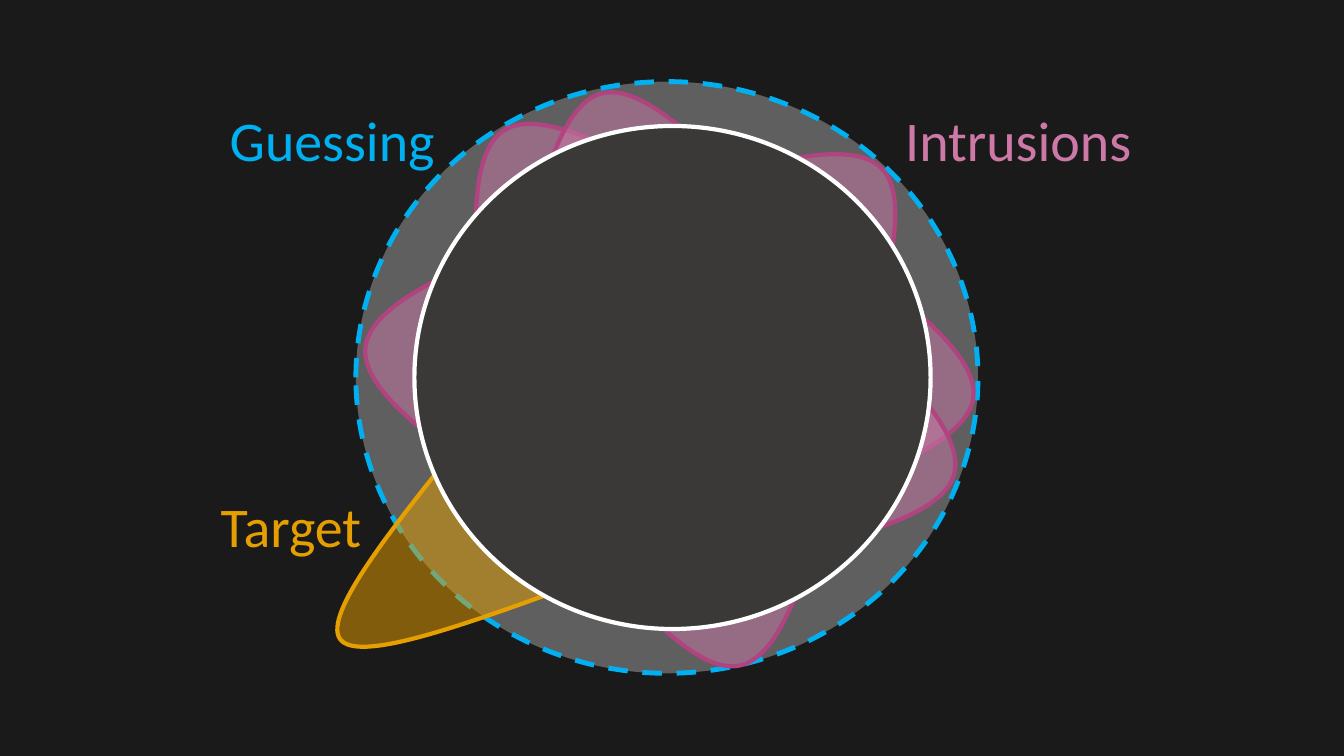
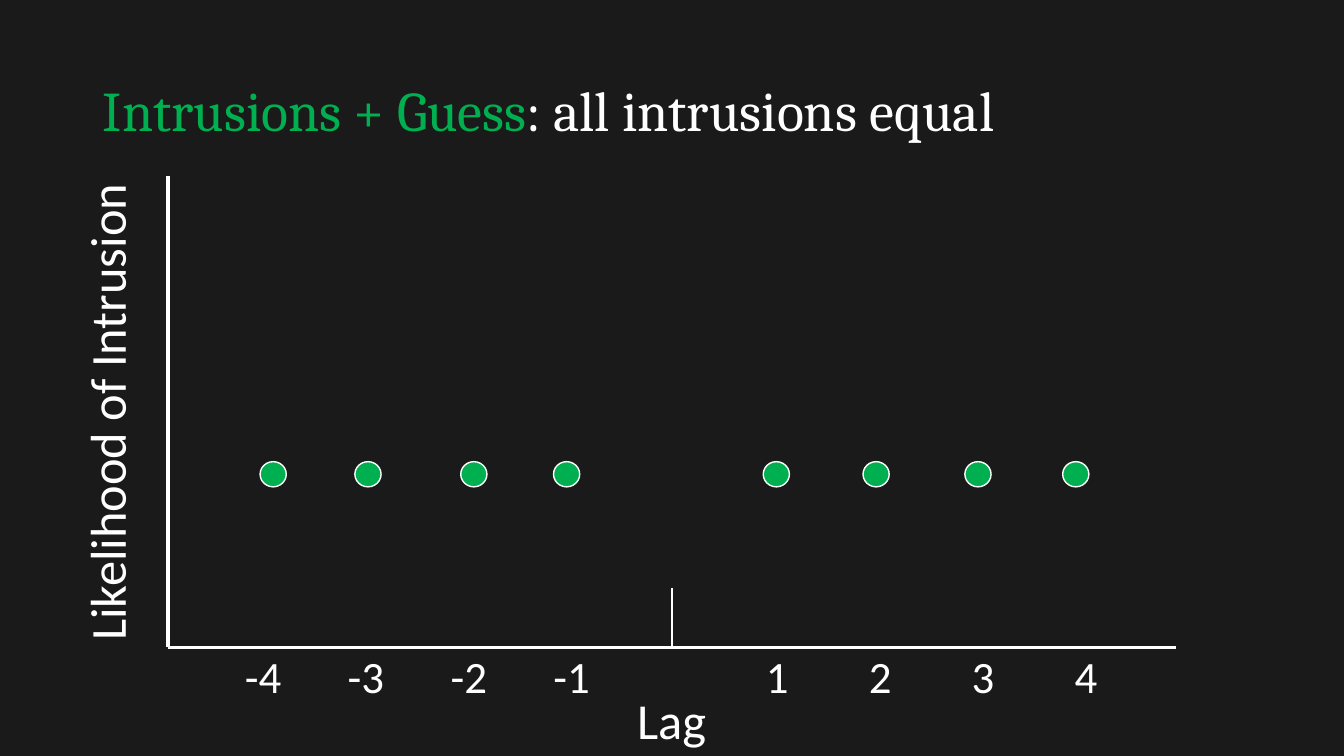
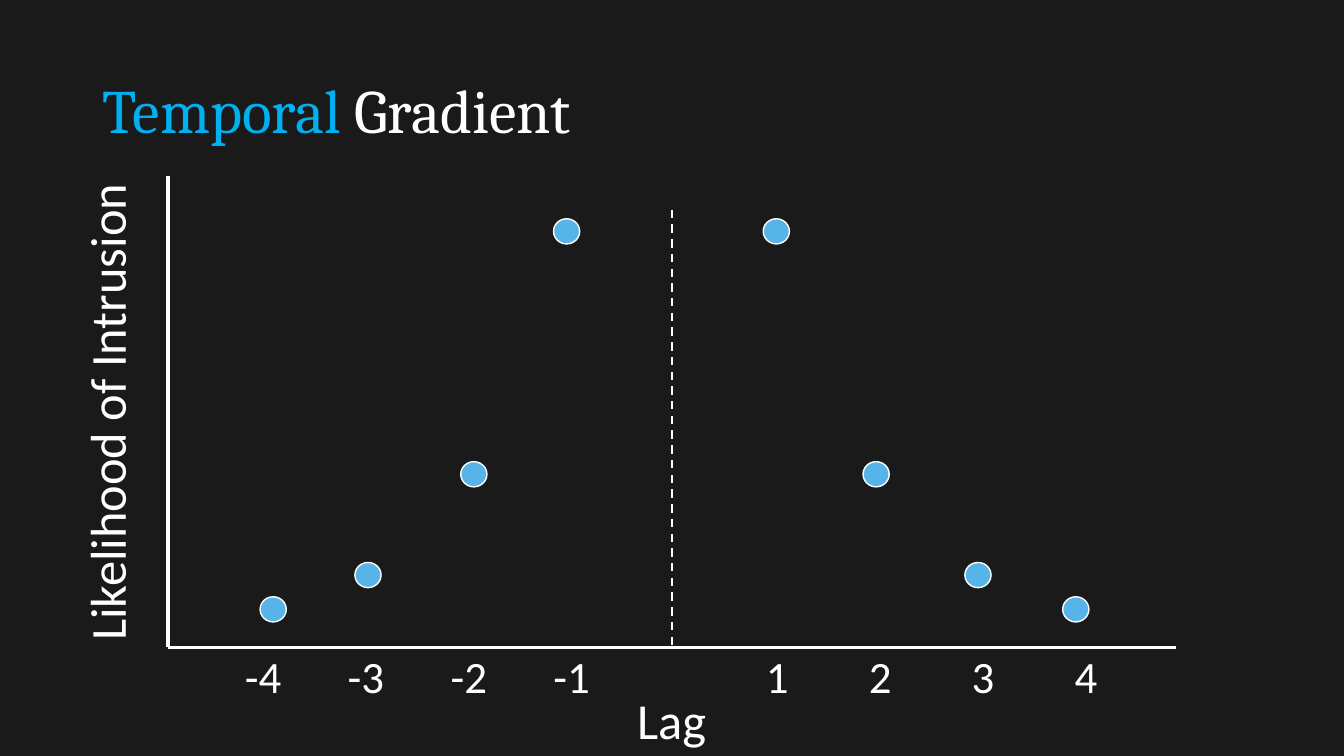
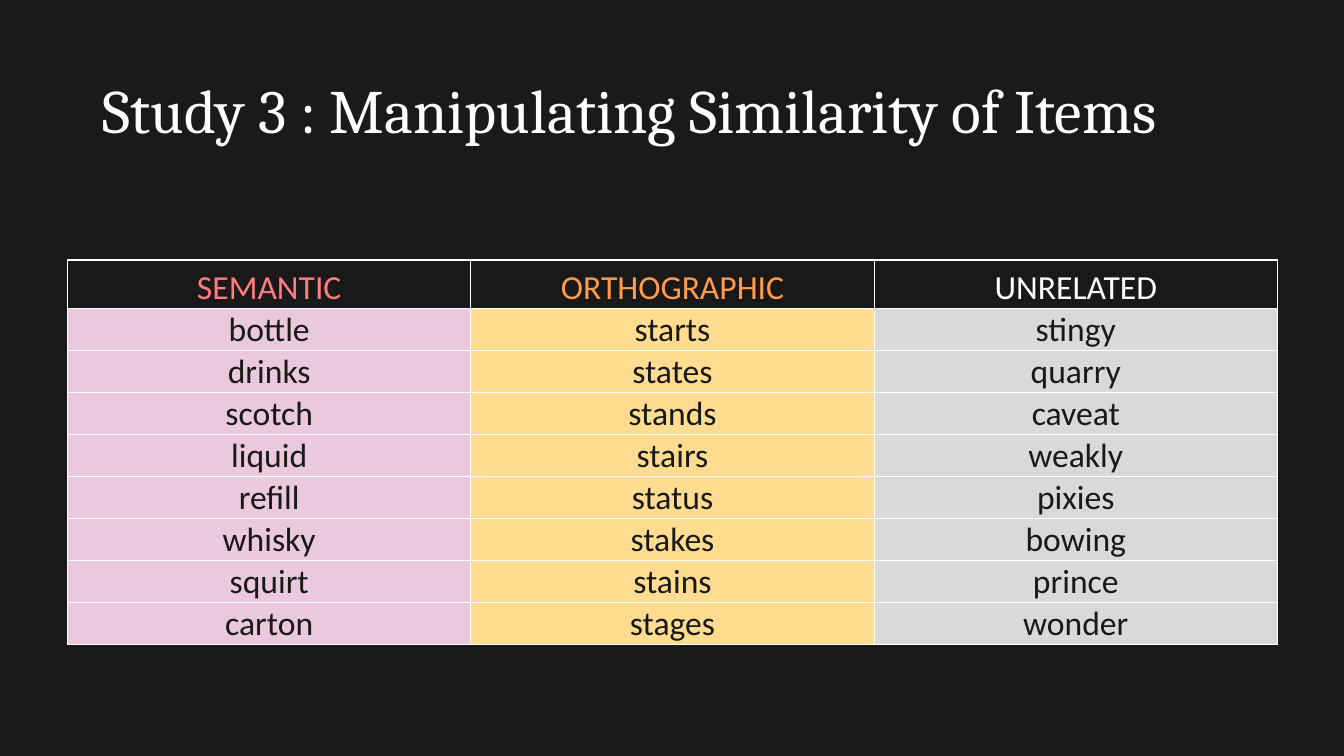
import pptx
import pptx.util
import pptx.dml.color
import pptx.enum.dml
import pptx.enum.shapes
import pptx.enum.text
import pptx.oxml.ns
import lxml.etree

WIDE, HIGH = 13.33, 7.5
COLORS = {
    "back": "1A1A1A", "white": "FFFFFF", "disc": "3B3838", "sky": "00B0F0",
    "pink": "CC79A7", "plum": "B14380", "gold": "E69F00", "green": "00B050",
    "blue": "56B4E9", "ink": "191919", "coral": "FF7C80", "orange": "FF9B4D",
    "rose": "EBC9DC", "sand": "FFDC8F", "gray": "D9D9D9",
}
BODY, HEAD = "Calibri", "Cambria"

# Ring of memory responses: left, top, width, height
GUESS = (3.53, 0.81, 6.17, 5.87)
DISC = (4.11, 1.25, 5.12, 4.99)
HUMP = (2.56, 1.56)
HUMPS = [  # left, top, turn
    (4.14, 1.17, 327), (3.12, 2.75, 276), (7.6, 3.06, 98.2), (7.43, 3.72, 105.3),
    (5.89, 5.06, 167.5), (4.89, 0.9, 344.6), (6.91, 1.44, 45.1),
]
TARGET = (3.34, 4.67, 1.78, 2.11, 234.4)
BELL = [(0, 1), (1 / 6, 1 / 2), (1 / 3, 0), (1 / 2, 0), (2 / 3, 0), (5 / 6, 1 / 2), (1, 1)]
NAMES = [
    ("Intrusions", "pink", (8.88, 1, 2.47, 0.77)),
    ("Guessing", "sky", (2.18, 1, 2.25, 0.77)),
    ("Target", "gold", (2.09, 4.83, 1.61, 0.77)),
]

# Lag plots: dot centre by lag, dot top by distance from zero
DOTS = {-4: 2.71, -3: 3.65, -2: 4.7, -1: 5.62, 1: 7.7, 2: 8.69, 3: 9.7, 4: 10.67}
DOT = (0.26, 0.25)
LEFT, MID, RIGHT = WIDE / 8, WIDE / 2, WIDE * 7 / 8
TOP, BASE = 1.75, 6.42
TICK_MID, TICK_STEP = 6.69, 1.02
PLOTS = [
    {"title": [("Intrusions + Guess", "green"), (": all intrusions equal", "white")],
     "size": 40, "fill": "green", "tops": dict.fromkeys(range(1, 5), 4.58),
     "zero": 5.83, "dash": False},
    {"title": [("Temporal ", "sky"), ("Gradient", "white")],
     "size": 44, "fill": "blue", "tops": {1: 2.17, 2: 4.58, 3: 5.58, 4: 5.92},
     "zero": 2.08, "dash": True},
]

STUDY = "Study 3 : Manipulating Similarity of Items"
LISTS = [  # heading, its colour, cell fill, words
    ("SEMANTIC", "coral", "rose",
     ["bottle", "drinks", "scotch", "liquid", "refill", "whisky", "squirt", "carton"]),
    ("ORTHOGRAPHIC", "orange", "sand",
     ["starts", "states", "stands", "stairs", "status", "stakes", "stains", "stages"]),
    ("UNRELATED", "white", "gray",
     ["stingy", "quarry", "caveat", "weakly", "pixies", "bowing", "prince", "wonder"]),
]


def inch(*nums):
    return [pptx.util.Inches(num) for num in nums]


def color(name):
    return pptx.dml.color.RGBColor.from_string(COLORS[name])


def write(frame, runs, size, font=BODY, align="LEFT", anchor="TOP", wrap=False, space=None):
    """Put (text, colour) runs into a text frame as one paragraph."""
    frame.word_wrap = wrap
    frame.vertical_anchor = getattr(pptx.enum.text.MSO_ANCHOR, anchor)
    para = frame.paragraphs[0]
    para.alignment = getattr(pptx.enum.text.PP_ALIGN, align)
    if space:
        para.line_spacing = space
    for text, name in runs:
        run = para.add_run()
        run.text = text
        run.font.size = pptx.util.Pt(size)
        run.font.name = font
        run.font.color.rgb = color(name)


def label(slide, box, text, name, size, **form):
    shape = slide.shapes.add_textbox(*inch(*box))
    write(shape.text_frame, [(text, name)], size, **form)
    return shape


def stroke(line, name, width, dash=False):
    line.color.rgb = color(name)
    line.width = pptx.util.Pt(width)
    if dash:
        line.dash_style = pptx.enum.dml.MSO_LINE.DASH


def paint(shape, fill, edge, width, alpha=100, dash=False):
    """Fill and outline a shape; alpha is the fill's opacity in percent."""
    shape.shadow.inherit = False
    shape.fill.solid()
    shape.fill.fore_color.rgb = color(fill)
    stroke(shape.line, edge, width, dash)
    if alpha < 100:
        tint = shape.fill._xPr.find(".//" + pptx.oxml.ns.qn("a:srgbClr"))
        lxml.etree.SubElement(tint, pptx.oxml.ns.qn("a:alpha"), val=str(alpha * 1000))


def oval(slide, box, *look, **form):
    shape = slide.shapes.add_shape(pptx.enum.shapes.MSO_SHAPE.OVAL, *inch(*box))
    paint(shape, *look, **form)


def rule(slide, start, end, width, dash=False):
    line = slide.shapes.add_connector(
        pptx.enum.shapes.MSO_CONNECTOR.STRAIGHT, *inch(*start, *end))
    stroke(line.line, "white", width, dash)
    lxml.etree.SubElement(line._element.spPr, pptx.oxml.ns.qn("a:effectLst"))


def bell(slide, left, top, wide, high, turn, fill, edge):
    """Draw a bell curve whose segments are two cubic curves."""
    spots = [inch(left + x * wide, top + y * high) for x, y in BELL]
    build = slide.shapes.build_freeform(*spots[0])
    build.add_line_segments(spots[1:], close=False)
    shape = build.convert_to_shape()
    steps = shape._element.findall(".//" + pptx.oxml.ns.qn("a:lnTo"))
    for first in range(0, len(steps), 3):
        curve = lxml.etree.Element(pptx.oxml.ns.qn("a:cubicBezTo"))
        steps[first].addprevious(curve)
        for step in steps[first:first + 3]:
            curve.append(step[0])
            step.getparent().remove(step)
    shape.rotation = turn
    paint(shape, fill, edge, 3, alpha=50)


def titled(deck, runs, size):
    slide = deck.slides.add_slide(deck.slide_layouts[5])
    title = slide.shapes.title
    title.left, title.top, title.width, title.height = inch(0.92, 0.4, 11.5, 1.45)
    title.text_frame.auto_size = pptx.enum.text.MSO_AUTO_SIZE.NONE
    write(title.text_frame, runs, size, font=HEAD, anchor="MIDDLE", wrap=True, space=0.9)
    return slide


def ring(deck):
    slide = deck.slides.add_slide(deck.slide_layouts[6])
    oval(slide, GUESS, "white", "sky", 3.5, alpha=30, dash=True)
    for left, top, turn in HUMPS:
        bell(slide, left, top, *HUMP, turn, "pink", "plum")
    bell(slide, *TARGET, "gold", "gold")
    oval(slide, DISC, "disc", "white", 3)
    for text, name, box in NAMES:
        label(slide, box, text, name, 40)


def plot(deck, data):
    slide = titled(deck, data["title"], data["size"])
    rule(slide, (LEFT, BASE), (RIGHT, BASE), 2.25)
    rule(slide, (MID, data["zero"]), (MID, BASE), 1.5, data["dash"])
    label(slide, (6.22, 6.79, 0.89, 0.71), "Lag", "white", 36)
    wide, high = DOT
    for lag, mid in DOTS.items():
        tick = TICK_MID + TICK_STEP * lag
        label(slide, (tick - 0.3, 6.39, 0.6, 0.64), str(lag), "white", 32, align="CENTER")
        oval(slide, (mid - wide / 2, data["tops"][abs(lag)], wide, high),
             data["fill"], "white", 1)
    rule(slide, (LEFT, BASE), (LEFT, TOP), 2.25)
    side = label(slide, (0.7, 1.78, 0.81, 4.79), " Likelihood of Intrusion", "white", 36)
    side.text_frame._txBody.bodyPr.set("vert", "vert270")


def border(cell):
    props = cell._tc.get_or_add_tcPr()
    for spot, edge in enumerate(("a:lnL", "a:lnR", "a:lnT", "a:lnB")):
        line = lxml.etree.Element(pptx.oxml.ns.qn(edge), w="12700")
        fill = lxml.etree.SubElement(line, pptx.oxml.ns.qn("a:solidFill"))
        lxml.etree.SubElement(fill, pptx.oxml.ns.qn("a:srgbClr"), val=COLORS["white"])
        props.insert(spot, line)


def study(deck):
    slide = titled(deck, [(STUDY, "white")], 44)
    count = len(LISTS[0][3]) + 1
    table = slide.shapes.add_table(count, len(LISTS), *inch(0.67, 2.58, 12, 3.76)).table
    table.first_row = table.horz_banding = False
    for spot, row in enumerate(table.rows):
        row.height = pptx.util.Inches(0.41 if spot else 0.48)
    for col, (head, tone, fill, words) in enumerate(LISTS):
        table.columns[col].width = pptx.util.Inches(4)
        for row, text in enumerate([head] + words):
            cell = table.cell(row, col)
            cell.fill.solid()
            cell.fill.fore_color.rgb = color(fill if row else "ink")
            cell.margin_left, cell.margin_right, cell.margin_top, cell.margin_bottom = inch(
                0.01, 0.01, 0.01, 0)
            write(cell.text_frame, [(text, "ink" if row else tone)], 24,
                  align="CENTER", wrap=True)
            cell.vertical_anchor = pptx.enum.text.MSO_ANCHOR.BOTTOM
            border(cell)


def main():
    deck = pptx.Presentation()
    deck.slide_width, deck.slide_height = inch(WIDE, HIGH)
    back = deck.slide_master.background.fill
    back.solid()
    back.fore_color.rgb = color("back")
    ring(deck)
    for data in PLOTS:
        plot(deck, data)
    study(deck)
    deck.save("out.pptx")


if __name__ == "__main__":
    main()
